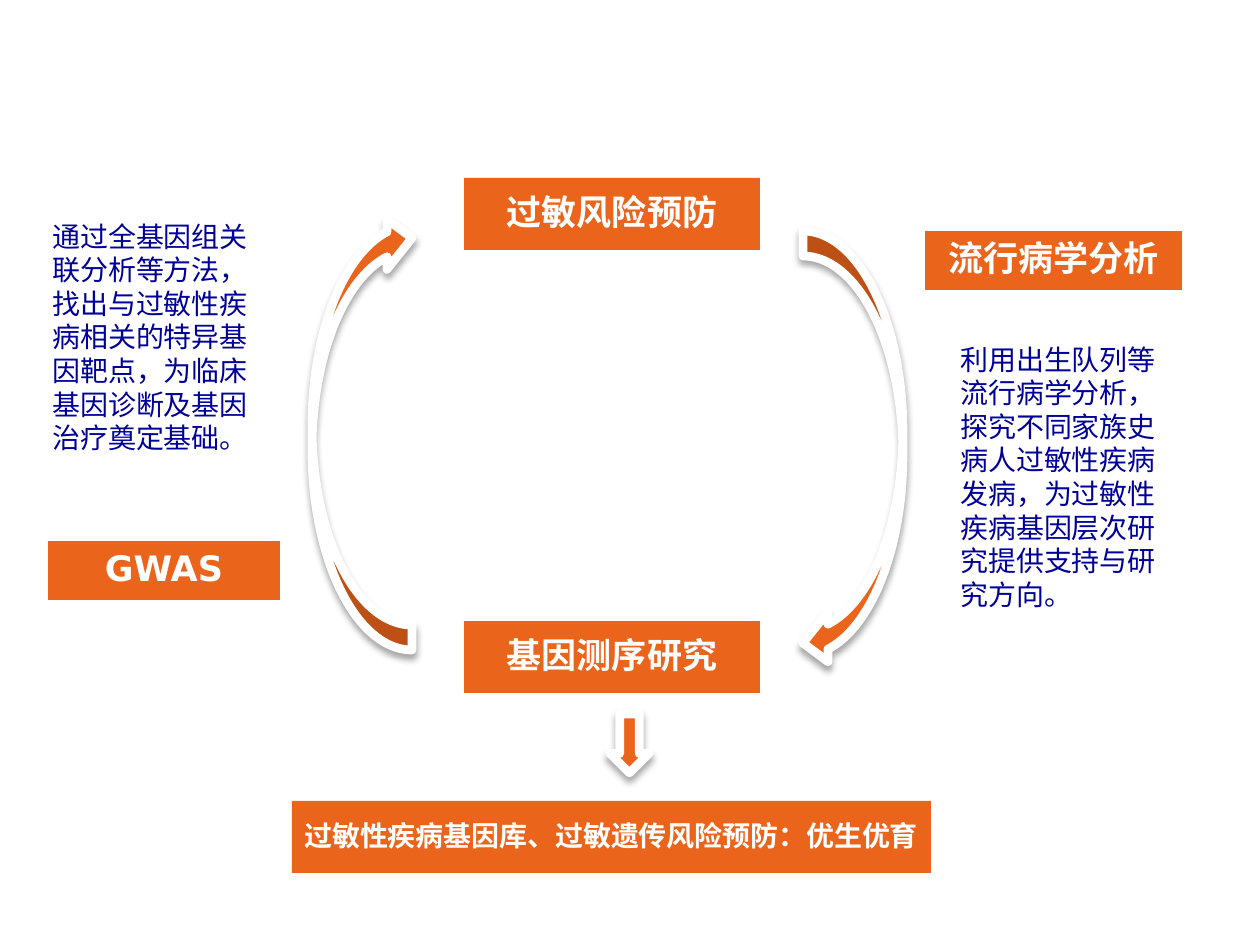
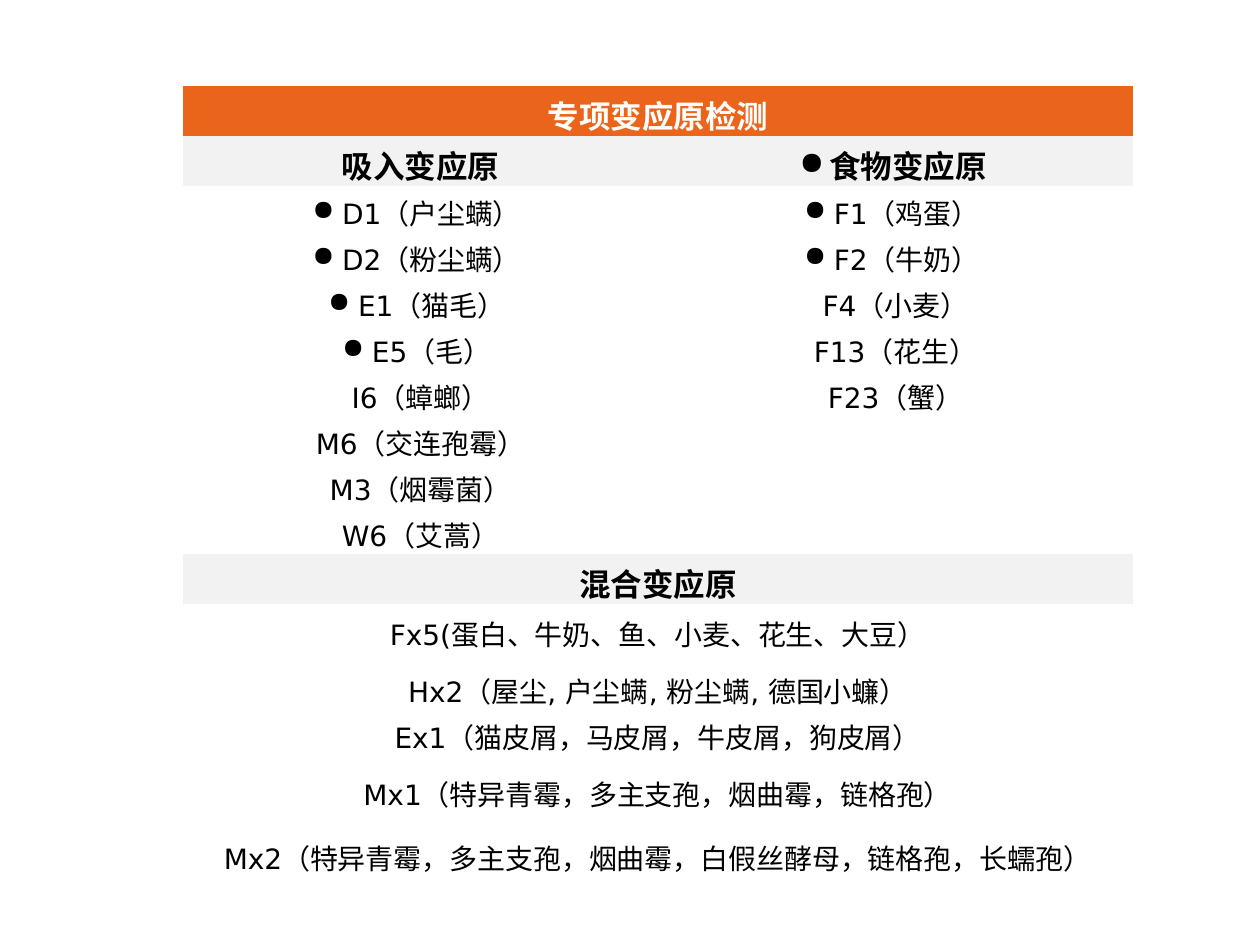
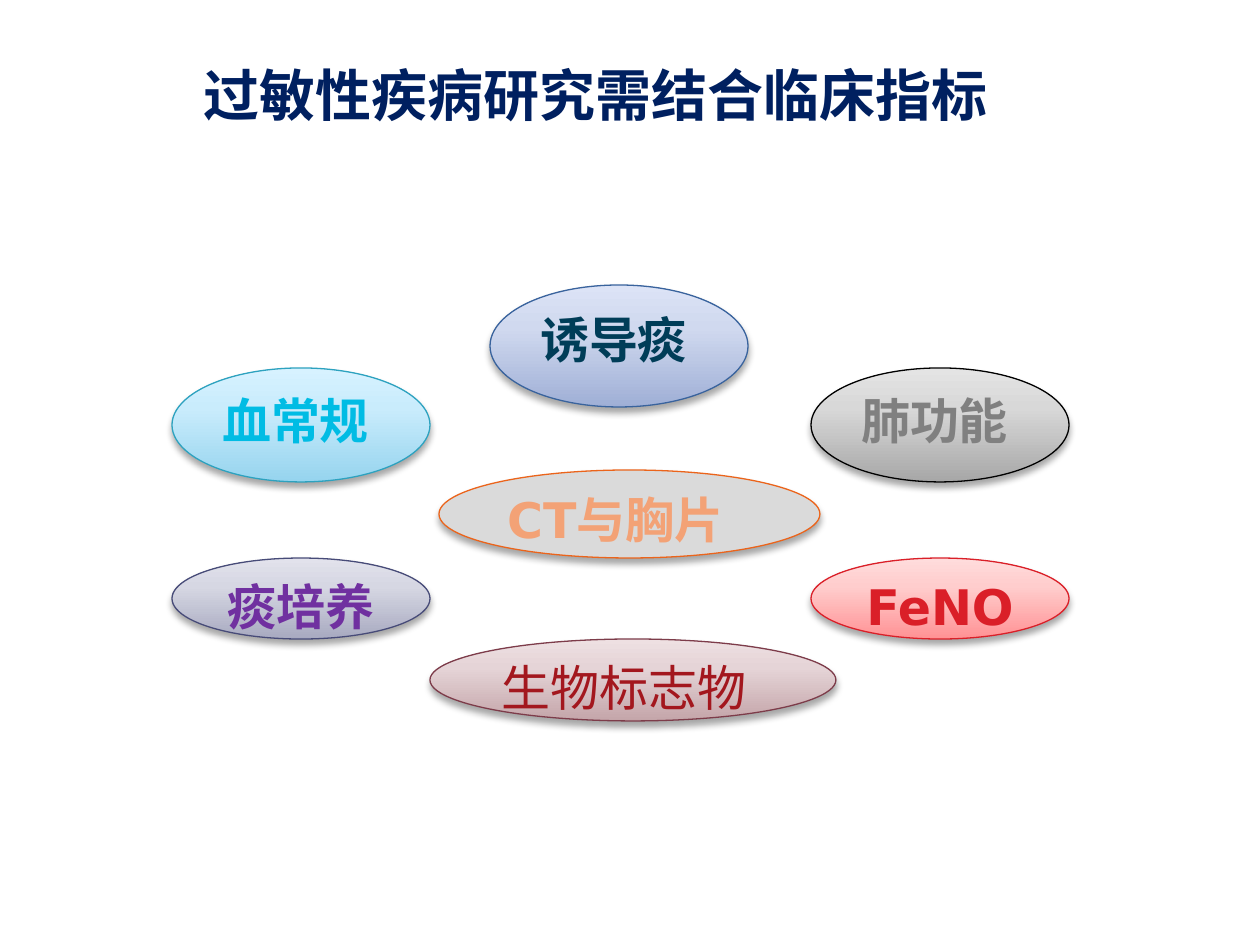
from dataclasses import dataclass

from lxml.etree import SubElement
from pptx import Presentation
from pptx.dml.color import RGBColor
from pptx.enum.shapes import MSO_SHAPE as Shape
from pptx.enum.text import MSO_ANCHOR as Anchor, PP_ALIGN as Align
from pptx.oxml.ns import qn
from pptx.util import Emu, Pt


@dataclass(frozen=True)
class Theme:
    orange: str = "EB641B"
    white: str = "FFFFFF"
    black: str = "000000"
    band: str = "F2F2F2"
    note: str = "000099"
    title: str = "002060"
    heading_font: str = "DejaVu Sans"
    note_font: str = "Arial"
    title_size: int = 32
    oval_size: int = 28
    label_size: int = 20
    header_size: int = 18
    body_size: int = 16


THEME = Theme()
EMU_PER_PX = 914400 / 126
NO_GRID_STYLE = "{2D5ABB26-0587-4C30-8999-92F81FD0307C}"
TITLE_ONLY, BLANK = 5, 6

CYCLE_LABELS = [
    ("过敏风险预防", (464, 178, 296, 72), THEME.label_size),
    ("基因测序研究", (464, 621, 296, 72), THEME.label_size),
    ("GWAS", (48, 541, 232, 59), THEME.label_size),
    ("流行病学分析", (925, 231, 257, 59), THEME.label_size),
    ("过敏性疾病基因库、过敏遗传风险预防：优生优育", (292, 801, 639, 72), THEME.body_size),
]
CYCLE_ARROWS = [
    (Shape.CURVED_LEFT_ARROW, (312, 213, 100, 437), 180),
    (Shape.CURVED_LEFT_ARROW, (803, 231, 100, 437), 0),
    (Shape.DOWN_ARROW, (610, 714, 39, 59), 0),
]
CYCLE_NOTES = [
    ("通过全基因组关联分析等方法，找出与过敏性疾病相关的特异基因靶点，为临床基因诊断及基因治疗奠定基础。",
     (40, 213, 239, 248)),
    ("利用出生队列等流行病学分析，探究不同家族史病人过敏性疾病发病，为过敏性疾病基因层次研究提供支持与研究方向。",
     (948, 336, 239, 281)),
]

ALLERGEN_TITLE = "专项变应原检测"
ALLERGEN_GROUPS = ("吸入变应原", "食物变应原")
INHALED = ["D1（户尘螨）", "D2（粉尘螨）", "E1（猫毛）", "E5（毛）",
           "I6（蟑螂）", "M6（交连孢霉）", "M3（烟霉菌）", "W6（艾蒿）"]
FOOD = ["F1（鸡蛋）", "F2（牛奶）", "F4（小麦）", "F13（花生）", "F23（蟹）", "", "", ""]
BULLETED = {ALLERGEN_GROUPS[1], *INHALED[:4], *FOOD[:2]}
MIXED_TITLE = "混合变应原"
MIXED = [
    ("Fx5(蛋白、牛奶、鱼、小麦、花生、大豆）", 60),
    ("Hx2（屋尘, 户尘螨, 粉尘螨, 德国小蠊）", 46),
    ("Ex1（猫皮屑，马皮屑，牛皮屑，狗皮屑）", 54),
    ("Mx1（特异青霉，多主支孢，烟曲霉，链格孢）", 60),
    ("Mx2（特异青霉，多主支孢，烟曲霉，白假丝酵母，链格孢，长蠕孢）", 68),
]
HEADER_HEIGHT, ITEM_HEIGHT = 50, 46

INDICATOR_TITLE = "过敏性疾病研究需结合临床指标"
INDICATORS = [
    ("血常规", (172, 368, 258, 114), "00BCE4", "2DA2BF", ("96D4EE", "C9ECFC", "D7F2FF")),
    ("FeNO", (811, 558, 258, 81), "DA1F28", "DA1F28", ("FF9294", "FFCDCD", "FFDCDC")),
    ("肺功能", (811, 368, 258, 114), "808080", "000000", ("A7A7A7", "D8D8D8", "E4E4E4")),
    ("生物标志物", (430, 639, 406, 82), "A3171E", "7D3C4A", ("C4A5A9", "E5D4D7", "EEE0E2")),
    ("痰培养", (172, 558, 258, 81), "7030A0", "474B78", ("A8AAC0", "D6D7E3", "E2E2EC")),
    ("诱导痰", (490, 285, 258, 122), "003D58", "39639D", ("9FAFD6", "D0D9EF", "DCE3F6")),
    ("CT与胸片", (439, 470, 381, 88), "F3A276", THEME.orange, ("DADADA",)),
]
CENTRED_INDICATORS = {"FeNO", "痰培养"}
LIGHT_INDICATORS = {"生物标志物"}
GRADIENT_POSITIONS = (0, 65000, 100000)


def px(length):
    return Emu(round(length * EMU_PER_PX))


def place(box):
    return [px(length) for length in box]


def rgb(value):
    return RGBColor.from_string(value)


def write(frame, text, size, color, font=THEME.heading_font, bold=False,
          align=Align.LEFT, bullet=False):
    paragraph = frame.paragraphs[0]
    paragraph.alignment = align
    if text:
        paragraph.add_run().text = text
    if bullet:
        SubElement(paragraph._p.get_or_add_pPr(), qn("a:buChar"), char="●")
    paragraph.font.size = Pt(size)
    paragraph.font.name = font
    paragraph.font.bold = bold
    paragraph.font.color.rgb = rgb(color)
    return paragraph


def set_margins(part, across, down):
    part.margin_left = part.margin_right = px(across)
    part.margin_top = part.margin_bottom = px(down)


def paint(shape, colors):
    if len(colors) == 1:
        shape.fill.solid()
        shape.fill.fore_color.rgb = rgb(colors[0])
        return
    shape.fill.gradient()
    shape.fill.gradient_angle = 90
    stops = shape._element.spPr.find(".//" + qn("a:gsLst"))
    for stop in list(stops):
        stops.remove(stop)
    for position, color in zip(GRADIENT_POSITIONS, colors):
        stop = SubElement(stops, qn("a:gs"), pos=str(position))
        SubElement(stop, qn("a:srgbClr"), val=color)


def add_figure(slide, kind, box, colors, outline=None, width=0):
    figure = slide.shapes.add_shape(kind, *place(box))
    figure.shadow.inherit = False
    paint(figure, colors)
    if outline is None:
        figure.line.fill.background()
        return figure
    figure.line.color.rgb = rgb(outline)
    figure.line.width = Pt(width)
    effects = figure._element.spPr.find(qn("a:effectLst"))
    shadow = SubElement(effects, qn("a:outerShdw"), blurRad=str(Pt(4)), dist=str(Pt(3)),
                        dir="5400000", rotWithShape="0")
    tint = SubElement(shadow, qn("a:srgbClr"), val=THEME.black)
    SubElement(tint, qn("a:alpha"), val="35000")
    return figure


def build_cycle(slide):
    for text, box, size in CYCLE_LABELS:
        label = add_figure(slide, Shape.RECTANGLE, box, (THEME.orange,))
        frame = label.text_frame
        set_margins(frame, 2, 2)
        frame.vertical_anchor = Anchor.MIDDLE
        write(frame, text, size, THEME.white, bold=True, align=Align.CENTER).line_spacing = 0.9
    for kind, box, rotation in CYCLE_ARROWS:
        add_figure(slide, kind, box, (THEME.orange,), THEME.white, 5).rotation = rotation
    for text, box in CYCLE_NOTES:
        frame = slide.shapes.add_textbox(*place(box)).text_frame
        frame.word_wrap = True
        write(frame, text, THEME.body_size, THEME.note, THEME.note_font)


def build_allergens(slide):
    rows = [((ALLERGEN_TITLE,), HEADER_HEIGHT, THEME.orange),
            (ALLERGEN_GROUPS, HEADER_HEIGHT, THEME.band)]
    rows += [(pair, ITEM_HEIGHT, THEME.white) for pair in zip(INHALED, FOOD)]
    rows.append(((MIXED_TITLE,), HEADER_HEIGHT, THEME.band))
    rows += [((text,), height, THEME.white) for text, height in MIXED]

    total = sum(height for _, height, _ in rows)
    table = slide.shapes.add_table(len(rows), 2, *place((183, 86, 950, total))).table
    table.first_row = table.horz_banding = False
    table._tbl.tblPr.find(qn("a:tableStyleId")).text = NO_GRID_STYLE
    for index, (texts, height, background) in enumerate(rows):
        table.rows[index].height = px(height)
        if len(texts) == 1:
            table.cell(index, 0).merge(table.cell(index, 1))
        header = background != THEME.white
        color = THEME.white if background == THEME.orange else THEME.black
        size = THEME.header_size if header else THEME.body_size
        for column, text in enumerate(texts):
            cell = table.cell(index, column)
            cell.fill.solid()
            cell.fill.fore_color.rgb = rgb(background)
            cell.vertical_anchor = Anchor.MIDDLE
            set_margins(cell, 9, 6)
            write(cell.text_frame, text, size, color, bold=header,
                  align=Align.CENTER, bullet=text in BULLETED)


def build_indicators(slide):
    title = slide.shapes.title
    title.left, title.top, title.width, title.height = place((160, 54, 872, 81))
    title.text_frame.vertical_anchor = Anchor.TOP
    write(title.text_frame, INDICATOR_TITLE, THEME.title_size, THEME.title,
          bold=True, align=Align.CENTER)
    for text, box, color, outline, colors in INDICATORS:
        oval = add_figure(slide, Shape.OVAL, box, colors, outline, 0.75)
        oval.text_frame.vertical_anchor = Anchor.TOP
        write(oval.text_frame, text, THEME.oval_size, color, bold=text not in LIGHT_INDICATORS,
              align=Align.CENTER if text in CENTRED_INDICATORS else Align.LEFT)


def main():
    deck = Presentation()
    deck.slide_width, deck.slide_height = px(1260), px(945)
    for layout, build in ((BLANK, build_cycle), (BLANK, build_allergens),
                          (TITLE_ONLY, build_indicators)):
        build(deck.slides.add_slide(deck.slide_layouts[layout]))
    deck.save("out.pptx")


if __name__ == "__main__":
    main()
